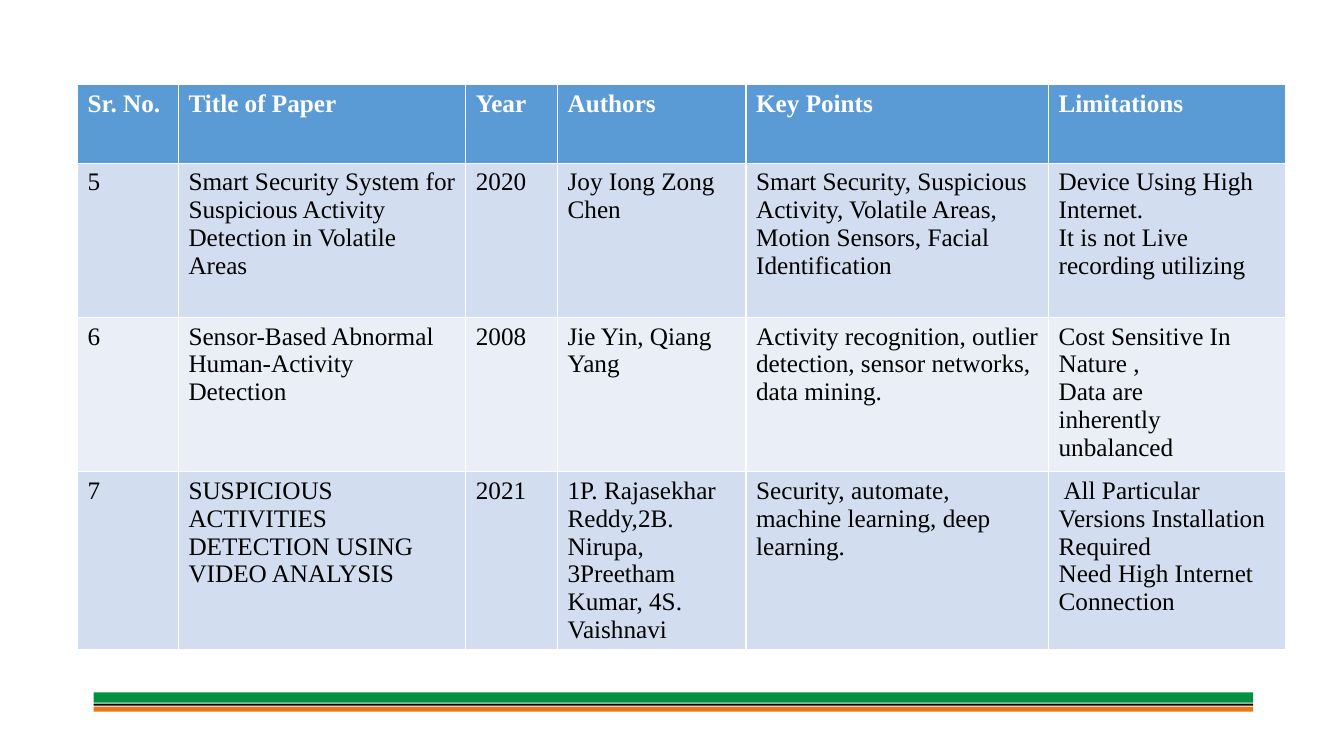
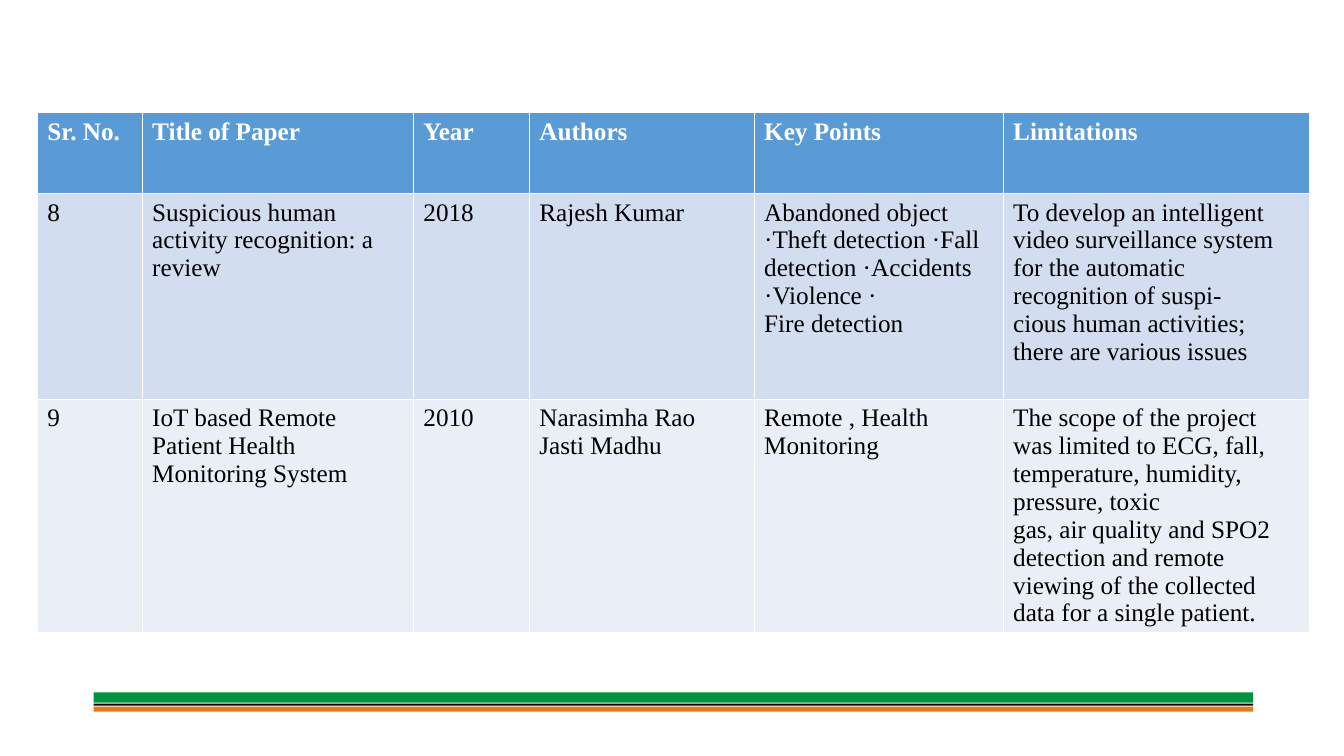
from copy import deepcopy

from pptx import Presentation
from pptx import util as u
from pptx.dml import color
from pptx.enum import shapes

PX = u.Inches(1) // 100
FONT = "Times New Roman"
WHITE, BLACK = "FFFFFF", "000000"
GREEN, ORANGE = "02913F", "E67817"
HEADER_BLUE = "5B9BD5"
ROW_TINTS = ("D2DEEF", "EAEFF7")
HEADINGS = ("Sr. No.", "Title of Paper", "Year", "Authors", "Key Points", "Limitations")
FOOTER_BOX = (93, 687, 1150)
FOOTER_BANDS = ((0, 10, GREEN), (14, 5, ORANGE), (11, 2, BLACK))

SURVEYS = (
    {
        "corner": (77, 84),
        "widths": (100, 285, 91, 187, 300, 235),
        "heights": (78, 153, 153, 176),
        "papers": (
            ("5", "Smart Security System for Suspicious Activity Detection in Volatile Areas",
             "2020", "Joy Iong Zong Chen",
             "Smart Security, Suspicious Activity, Volatile Areas, Motion Sensors, "
             "Facial Identification",
             "Device Using High Internet.\nIt is not Live recording utilizing"),
            ("6", "Sensor-Based Abnormal\vHuman-Activity Detection",
             "2008", "Jie Yin, Qiang Yang",
             "Activity recognition, outlier detection, sensor networks, data mining.",
             "Cost Sensitive In Nature ,\nData are\vinherently unbalanced"),
            ("7", "SUSPICIOUS ACTIVITIES DETECTION USING\vVIDEO ANALYSIS",
             "2021", "1P. Rajasekhar Reddy,2B. Nirupa, 3Preetham Kumar, 4S. Vaishnavi",
             "Security, automate, machine learning, deep learning.",
             " All Particular Versions Installation Required\nNeed High Internet Connection"),
        ),
    },
    {
        "corner": (37, 112),
        "widths": (104, 269, 115, 223, 247, 304),
        "heights": (80, 204, 231),
        "papers": (
            ("8", "Suspicious human activity recognition: a review",
             "2018", "Rajesh Kumar",
             "Abandoned object ·Theft detection ·Fall detection ·Accidents ·Violence ·\n"
             "Fire detection",
             "To develop an intelligent video surveillance system for the automatic "
             "recognition of suspi-\ncious human activities; there are various issues"),
            ("9", "IoT based Remote Patient Health Monitoring System",
             "2010", "Narasimha Rao Jasti Madhu",
             "Remote , Health Monitoring",
             "The scope of the project was limited to ECG, fall, temperature, humidity, "
             "pressure, toxic\vgas, air quality and SPO2 detection and remote viewing of "
             "the collected data for a single patient."),
        ),
    },
)


def px(*lengths):
    return [u.Emu(length * PX) for length in lengths]


def rgb(value):
    return color.RGBColor.from_string(value)


def paint(target, value):
    target.fill.solid()
    target.fill.fore_color.rgb = rgb(value)


def add_footer(slide, left, top, width):
    footer = slide.shapes.add_group_shape()
    for offset, height, hue in FOOTER_BANDS:
        band = footer.shapes.add_shape(
            shapes.MSO_SHAPE.RECTANGLE, *px(left, top + offset, width, height))
        band.shadow.inherit = False
        band.line.fill.background()
        paint(band, hue)


def write_cell(cell, wording, fill, ink, bold):
    paint(cell, fill)
    cell.text_frame.text = wording
    for paragraph in cell.text_frame.paragraphs:
        for run in paragraph.runs:
            run.font.name = FONT
            run.font.size = u.Pt(18)
            run.font.bold = bold
            run.font.color.rgb = rgb(ink)
        for line_break in paragraph._p.br_lst if hasattr(paragraph._p, "br_lst") else paragraph._p.xpath("a:br"):
            line_break.append(deepcopy(paragraph.runs[0].font._element))


def add_survey(slide, corner, widths, heights, papers):
    survey = slide.shapes.add_table(
        len(heights), len(widths), *px(*corner, sum(widths), sum(heights))).table
    for column, width in zip(survey.columns, px(*widths)):
        column.width = width
    for row, height in zip(survey.rows, px(*heights)):
        row.height = height
    for index, entries in enumerate((HEADINGS, *papers)):
        heading = index == 0
        fill = HEADER_BLUE if heading else ROW_TINTS[(index - 1) % 2]
        ink = WHITE if heading else BLACK
        for cell, wording in zip(survey.rows[index].cells, entries):
            write_cell(cell, wording, fill, ink, heading)


def main():
    deck = Presentation()
    deck.slide_width, deck.slide_height = px(1333, 750)
    for survey in SURVEYS:
        slide = deck.slides.add_slide(deck.slide_layouts[6])
        add_footer(slide, *FOOTER_BOX)
        add_survey(slide, **survey)
    deck.save("out.pptx")


if __name__ == "__main__":
    main()
